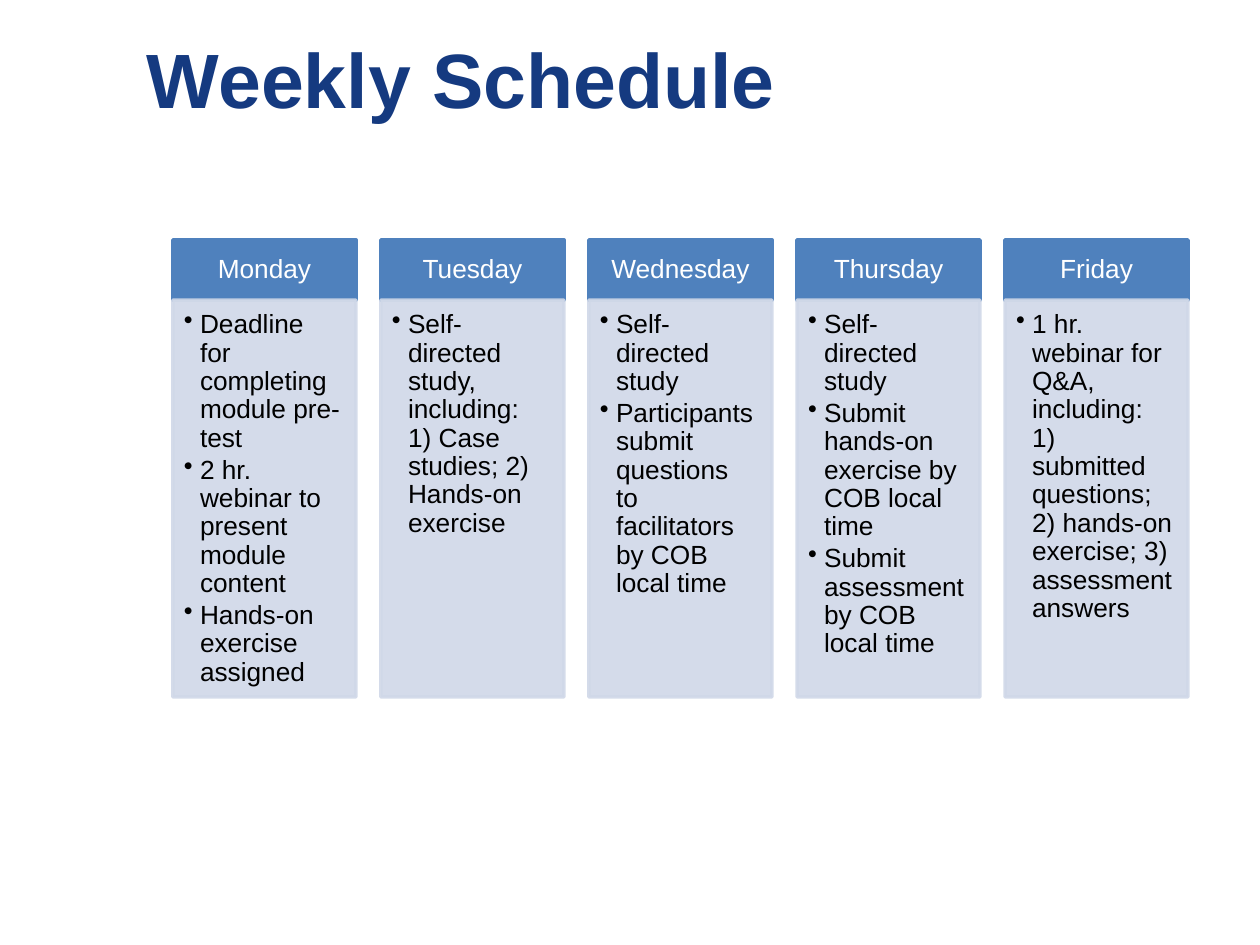
from dataclasses import dataclass

from lxml import etree
from pptx import Presentation
from pptx.dml.color import RGBColor
from pptx.enum.shapes import MSO_SHAPE
from pptx.enum.text import MSO_ANCHOR, PP_ALIGN
from pptx.oxml.ns import qn
from pptx.util import Pt

RECTANGLE = MSO_SHAPE.RECTANGLE
TOP, MIDDLE = MSO_ANCHOR.TOP, MSO_ANCHOR.MIDDLE
LEFT, CENTER = PP_ALIGN.LEFT, PP_ALIGN.CENTER
PX = 914400 / 126  # EMU per px


def px(length):
    return round(length * PX)


@dataclass(frozen=True)
class Theme:
    font: str = "Arial"
    title_color: str = "153A80"
    header_fill: str = "4F81BD"
    header_text: str = "FFFFFF"
    body_fill: str = "D0D8E8"
    body_text: str = "000000"
    body_opacity: int = 90
    title_size: int = 44
    text_size: int = 15
    outline: int = 2


class ScheduleSlide:
    def __init__(self, slide, theme):
        self.slide = slide
        self.theme = theme

    def set_frame(self, shape, insets, anchor):
        frame = shape.text_frame
        frame.word_wrap = True
        frame.vertical_anchor = anchor
        (frame.margin_left, frame.margin_top,
         frame.margin_right, frame.margin_bottom) = map(px, insets)
        return frame

    def add_text(self, paragraph, text, size, color, align, bold=False):
        paragraph.alignment = align
        run = paragraph.add_run()
        run.text = text
        run.font.name = self.theme.font
        run.font.size = Pt(size)
        run.font.bold = bold
        run.font.color.rgb = RGBColor.from_string(color)

    def title(self, text, box):
        shape = self.slide.shapes.add_textbox(*map(px, box))
        frame = self.set_frame(shape, (13, 6, 13, 6), MIDDLE)
        self.add_text(frame.paragraphs[0], text, self.theme.title_size,
                      self.theme.title_color, LEFT, bold=True)

    def panel(self, box, color, opacity=100):
        shape = self.slide.shapes.add_shape(RECTANGLE, *map(px, box))
        shape.shadow.inherit = False
        shape.line.width = Pt(self.theme.outline)
        for fill in (shape.fill, shape.line.fill):
            fill.solid()
            fill.fore_color.rgb = RGBColor.from_string(color)
        if opacity < 100:
            for tint in shape._element.spPr.iter(qn("a:srgbClr")):
                etree.SubElement(tint, qn("a:alpha"), val=str(opacity * 1000))
        return shape

    def day_header(self, day, box):
        shape = self.panel(box, self.theme.header_fill)
        frame = self.set_frame(shape, (15, 9, 15, 9), MIDDLE)
        heading = frame.paragraphs[0]
        heading.line_spacing = 0.9
        self.add_text(heading, day, self.theme.text_size,
                      self.theme.header_text, CENTER)

    def task_list(self, tasks, box):
        shape = self.panel(box, self.theme.body_fill, self.theme.body_opacity)
        frame = self.set_frame(shape, (11, 11, 15, 17), TOP)
        for index, task in enumerate(tasks):
            item = frame.add_paragraph() if index else frame.paragraphs[0]
            item.line_spacing = 0.9
            item.space_after = Pt(2)
            self.add_text(item, task, self.theme.text_size,
                          self.theme.body_text, LEFT)
            self.bullet(item)

    def bullet(self, paragraph, indent=16):
        properties = paragraph._p.get_or_add_pPr()
        properties.set("marL", str(px(indent)))
        properties.set("indent", str(-px(indent)))
        etree.SubElement(properties, qn("a:buChar"), char="•")


SCHEDULE = {
    "Monday": [
        "Deadline for completing module pre-test",
        "2 hr. webinar to present module content",
        "Hands-on exercise assigned",
    ],
    "Tuesday": [
        "Self-directed study, including: 1) Case studies; 2) Hands-on exercise",
    ],
    "Wednesday": [
        "Self-directed study",
        "Participants submit questions to facilitators by COB local time",
    ],
    "Thursday": [
        "Self-directed study",
        "Submit hands-on exercise by COB local time",
        "Submit assessment by COB local time",
    ],
    "Friday": [
        "1 hr. webinar for Q&A, including: 1) submitted questions; "
        "2) hands-on exercise; 3) assessment answers",
    ],
}

# Column grid
FIRST_LEFT, PITCH, COLUMN_WIDTH = 173, 208, 183
HEADER_TOP, HEADER_HEIGHT, TASKS_HEIGHT = 240, 60, 397


def main():
    deck = Presentation()
    deck.slide_width, deck.slide_height = px(1260), px(945)
    blank = deck.slide_layouts[6]
    weekly = ScheduleSlide(deck.slides.add_slide(blank), Theme())

    # Title
    weekly.title("Weekly Schedule", (134, 21, 1091, 113))

    # One column per day
    for column, (day, tasks) in enumerate(SCHEDULE.items()):
        left = FIRST_LEFT + column * PITCH
        weekly.day_header(day, (left, HEADER_TOP, COLUMN_WIDTH, HEADER_HEIGHT))
        weekly.task_list(tasks, (left, HEADER_TOP + HEADER_HEIGHT,
                                 COLUMN_WIDTH, TASKS_HEIGHT))

    deck.save("out.pptx")


if __name__ == "__main__":
    main()
